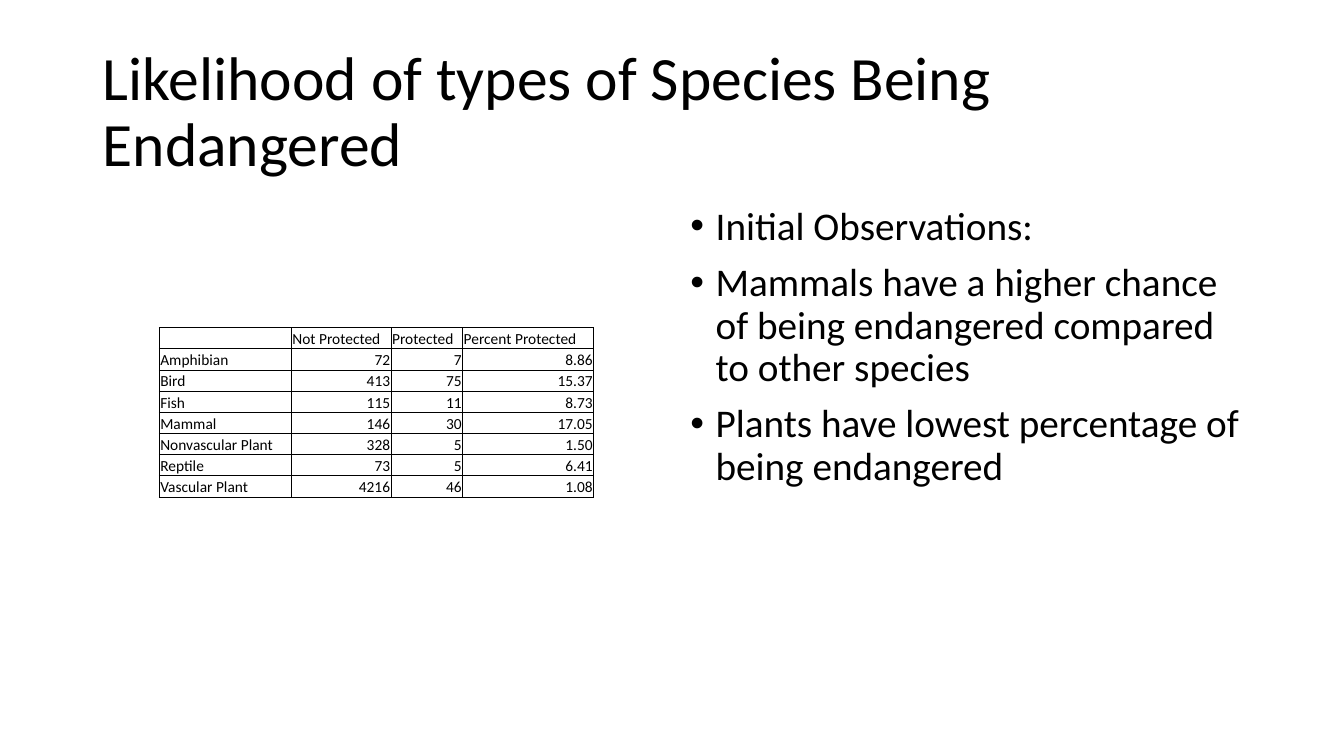
import pptx
import pptx.util
import pptx.dml.color
import pptx.enum.text
import pptx.oxml
import pptx.oxml.ns
from lxml import etree

Inches = pptx.util.Inches
Pt = pptx.util.Pt
ALIGN = pptx.enum.text.PP_ALIGN
ANCHOR = pptx.enum.text.MSO_ANCHOR
qn = pptx.oxml.ns.qn

BLACK = pptx.dml.color.RGBColor(0x00, 0x00, 0x00)
FONT = "Calibri"

TITLE = "Likelihood of types of Species Being Endangered"
NOTES = [
    "Initial Observations:",
    "Mammals have a higher chance of being endangered compared to other species",
    "Plants have lowest percentage of being endangered",
]
WIDTHS = [1.31, 0.99, 0.71, 1.3]
ROWS = [
    ["", "Not Protected", "Protected", "Percent Protected"],
    ["Amphibian", "72", "7", "8.86"],
    ["Bird", "413", "75", "15.37"],
    ["Fish", "115", "11", "8.73"],
    ["Mammal", "146", "30", "17.05"],
    ["Nonvascular Plant", "328", "5", "1.50"],
    ["Reptile", "73", "5", "6.41"],
    ["Vascular Plant", "4216", "46", "1.08"],
]


def add_run(para, text, size):
    run = para.add_run()
    run.text = text
    run.font.size = Pt(size)
    run.font.name = FONT
    run.font.color.rgb = BLACK


def add_text(slide, box, lines, size, anchor, bullet=False):
    frame = slide.shapes.add_textbox(*map(Inches, box)).text_frame
    frame.word_wrap = True
    frame.vertical_anchor = anchor
    for i, line in enumerate(lines):
        para = frame.add_paragraph() if i else frame.paragraphs[0]
        para.line_spacing = 0.9
        if bullet:
            para.space_before = Pt(10)
            add_bullet(para)
        add_run(para, line, size)


def add_bullet(para):
    props = para._p.get_or_add_pPr()
    props.set("marL", str(Inches(0.25)))
    props.set("indent", str(Inches(-0.25)))
    etree.SubElement(props, qn("a:buFont")).set("typeface", "Arial")
    etree.SubElement(props, qn("a:buChar")).set("char", "•")


def add_border(cell):
    props = cell._tc.get_or_add_tcPr()
    for side in ("lnL", "lnR", "lnT", "lnB"):
        line = etree.SubElement(props, qn("a:" + side), w=str(Pt(0.5)))
        fill = etree.SubElement(line, qn("a:solidFill"))
        etree.SubElement(fill, qn("a:srgbClr")).set("val", str(BLACK))


def fill_cell(cell, text, align):
    cell.margin_left = cell.margin_right = cell.margin_top = Inches(0.01)
    cell.margin_bottom = 0
    cell.vertical_anchor = ANCHOR.BOTTOM
    add_border(cell)
    cell.fill.background()
    para = cell.text_frame.paragraphs[0]
    para.alignment = align
    if text:
        add_run(para, text, 11)
    else:
        # Keeps the empty cell as low as its row
        etree.SubElement(para._p, qn("a:endParaRPr")).set("sz", "1100")


def add_grid(slide, left, top, step):
    shape = slide.shapes.add_table(
        len(ROWS), len(WIDTHS), Inches(left), Inches(top),
        Inches(sum(WIDTHS)), Inches(step * len(ROWS)))
    table = shape.table
    table.first_row = table.horz_banding = False
    for col, width in zip(table.columns, WIDTHS):
        col.width = Inches(width)
    for r, row in enumerate(ROWS):
        table.rows[r].height = Inches(step)
        for c, text in enumerate(row):
            # Figures sit right, headings and names left
            align = ALIGN.RIGHT if r and c else ALIGN.LEFT
            fill_cell(table.cell(r, c), text, align)


def main():
    deck = pptx.Presentation()
    deck.slide_width = Inches(13.33)
    deck.slide_height = Inches(7.5)
    slide = deck.slides.add_slide(deck.slide_layouts[6])

    # Title
    add_text(slide, (0.92, 0.4, 11.5, 1.45), [TITLE], 44, ANCHOR.MIDDLE)
    # Species table
    add_grid(slide, 1.58, 3.25, 0.21)
    # Observations
    add_text(slide, (6.75, 2, 5.67, 4.76), NOTES, 28, ANCHOR.TOP, bullet=True)

    deck.save("out.pptx")


if __name__ == "__main__":
    main()
